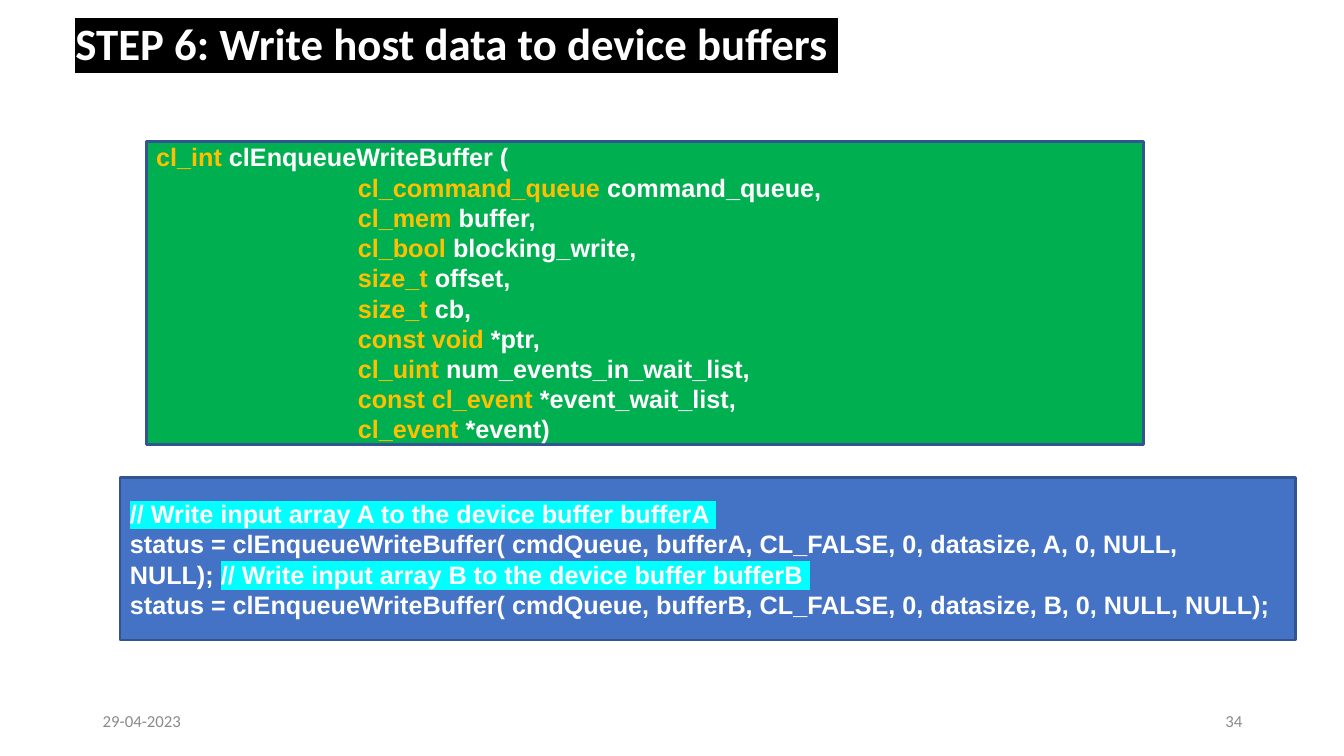
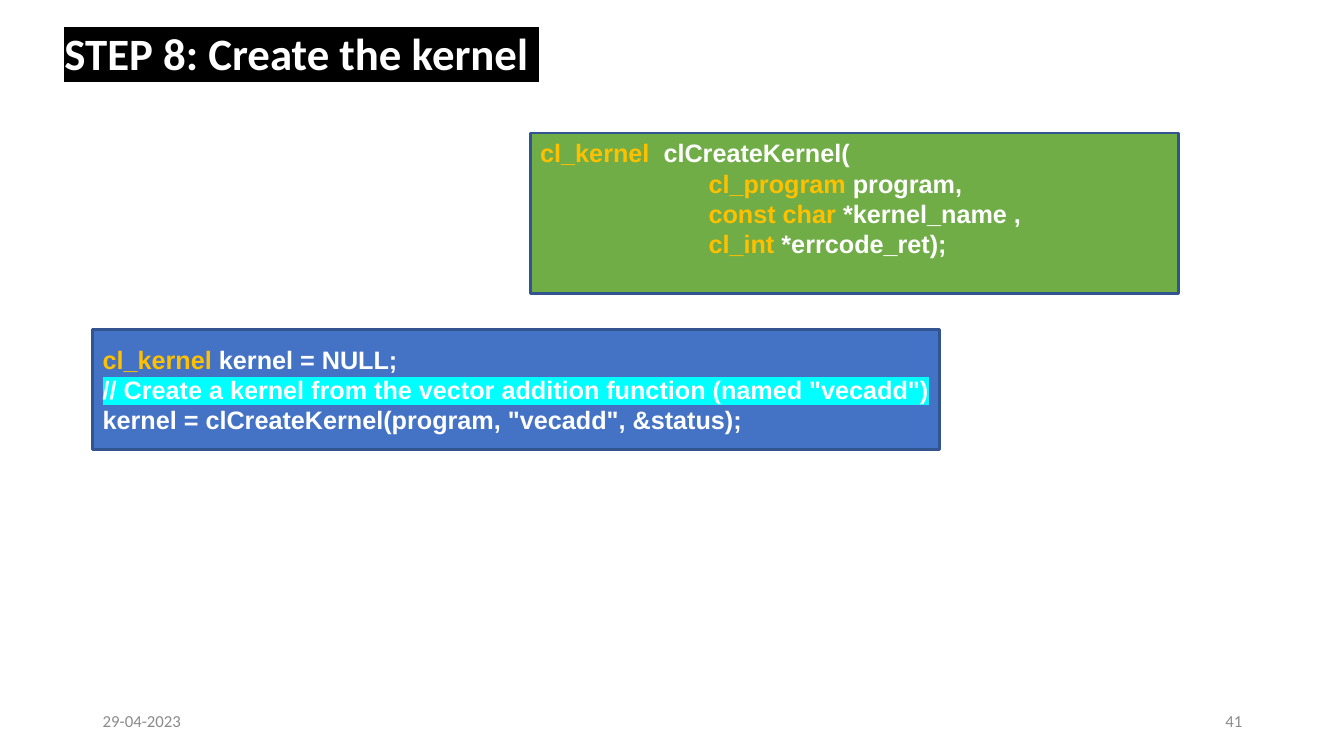
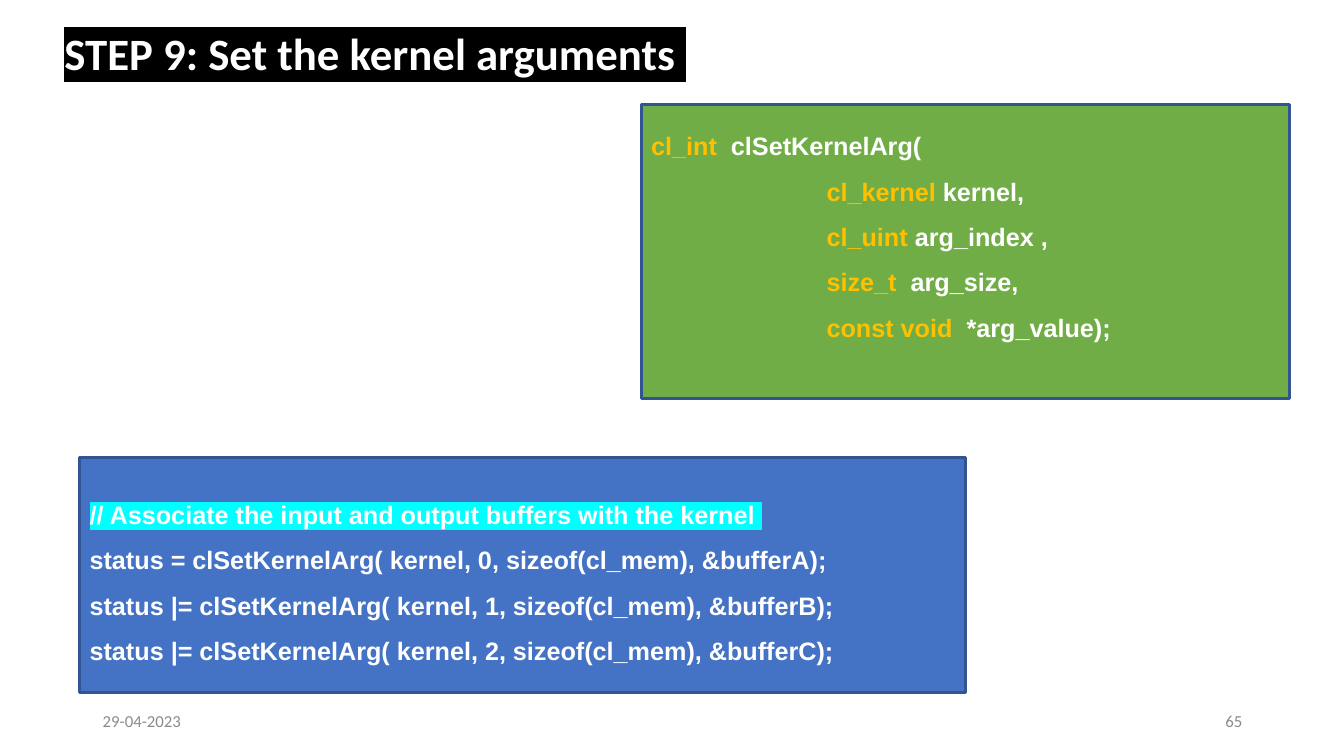
from lxml import etree
from pptx import Presentation
from pptx.dml.color import RGBColor
from pptx.enum.shapes import MSO_SHAPE
from pptx.enum.text import MSO_ANCHOR, PP_ALIGN
from pptx.oxml.ns import qn
from pptx.util import Inches, Pt

RECTANGLE = MSO_SHAPE.RECTANGLE
MIDDLE = MSO_ANCHOR.MIDDLE
LEFT, RIGHT = PP_ALIGN.LEFT, PP_ALIGN.RIGHT

COLORS = {
    "white": "FFFFFF",
    "black": "000000",
    "footer": "8B8B8B",
    "type": "FFC000",
    "comment": "00FFFF",
    "call": "4472C4",
    "border": "325491",
    "bright_green": "00B050",
    "soft_green": "70AD47",
}
STYLES = {
    "code": ("white", None),
    "type": ("type", None),
    "comment": ("white", "comment"),
}
DATE = "29-04-2023"


def rgb(name):
    return RGBColor.from_string(COLORS[name])


def add_run(paragraph, text, font_name, size, color, bold=False, highlight=None):
    run = paragraph.add_run()
    run.text = text
    font = run.font
    font.size = Pt(size)
    font.bold = bold
    font.color.rgb = rgb(color)
    if highlight:
        properties = run._r.get_or_add_rPr()
        marker = etree.Element(qn("a:highlight"))
        etree.SubElement(marker, qn("a:srgbClr")).set("val", COLORS[highlight])
        properties.find(qn("a:solidFill")).addnext(marker)
    font.name = font_name
    return run


def add_text_box(slide, box, alignment=LEFT):
    shape = slide.shapes.add_textbox(*map(Inches, box))
    frame = shape.text_frame
    frame.word_wrap = True
    frame.vertical_anchor = MIDDLE
    paragraph = frame.paragraphs[0]
    paragraph.alignment = alignment
    return paragraph


def add_footer(slide, number):
    for left, text, alignment in ((0.92, DATE, LEFT), (9.42, str(number), RIGHT)):
        paragraph = add_text_box(slide, (left, 6.95, 3, 0.4), alignment)
        add_run(paragraph, text, "Calibri", 12, "footer")


def add_title(slide, text, left, top):
    paragraph = add_text_box(slide, (left, top, 11.5, 0.82))
    paragraph.line_spacing = 0.9
    add_run(paragraph, text, "Calibri", 32, "white", True, "black")
    band_end = add_run(paragraph, " ", "Calibri", 32, "white", True, "black")
    band_end._r.get_or_add_rPr().set("spc", "1550")


def add_code_block(slide, box, fill, lines, spacing=1.0, indent=0, bottom=0.05):
    shape = slide.shapes.add_shape(RECTANGLE, *map(Inches, box))
    shape.shadow.inherit = False
    shape.fill.solid()
    shape.fill.fore_color.rgb = rgb(fill)
    shape.line.color.rgb = rgb("border")
    shape.line.width = Pt(2)
    frame = shape.text_frame
    frame.word_wrap = True
    frame.vertical_anchor = MIDDLE
    frame.margin_bottom = Inches(bottom)
    for index, line in enumerate(lines):
        paragraph = frame.add_paragraph() if index else frame.paragraphs[0]
        paragraph.alignment = LEFT
        paragraph.line_spacing = spacing
        if index and indent:
            paragraph._p.get_or_add_pPr().set("marL", str(Inches(indent)))
        for style, text in line:
            color, highlight = STYLES[style]
            add_run(paragraph, text, "Arial", 18, color, True, highlight)


def add_signature(slide, box, fill, declarations, indent, **layout):
    lines = [(("type", kind), ("code", name)) for kind, name in declarations]
    add_code_block(slide, box, fill, lines, indent=indent, **layout)


def add_step(presentation, number, title, left=0.54, top=0.14):
    slide = presentation.slides.add_slide(presentation.slide_layouts[6])
    add_footer(slide, number)
    add_title(slide, title, left, top)
    return slide


def build_write_buffers(presentation):
    slide = add_step(presentation, 34, "STEP 6: Write host data to device buffers", 0.65, 0.05)
    calls = {
        name: f"status = clEnqueueWriteBuffer( cmdQueue, buffer{name}, "
              f"CL_FALSE, 0, datasize, {name}, 0, NULL, NULL);"
        for name in "AB"
    }
    add_code_block(slide, (1.19, 4.74, 11.66, 1.61), "call", [
        [("comment", "// Write input array A to the device buffer bufferA ")],
        [("code", calls["A"] + " "),
         ("comment", "// Write input array B to the device buffer bufferB ")],
        [("code", calls["B"])],
    ])
    add_signature(slide, (1.45, 1.4, 9.89, 3.01), "bright_green", [
        ("cl_int ", "clEnqueueWriteBuffer ("),
        ("cl_command_queue ", "command_queue,"),
        ("cl_mem ", "buffer,"),
        ("cl_bool ", "blocking_write,"),
        ("size_t", " offset,"),
        ("size_t ", "cb,"),
        ("const void", " *ptr,"),
        ("cl_uint ", "num_events_in_wait_list,"),
        ("const cl_event ", "*event_wait_list,"),
        ("cl_event ", "*event)"),
    ], indent=2)


def build_create_kernel(presentation):
    slide = add_step(presentation, 41, "STEP 8: Create the kernel")
    add_code_block(slide, (0.92, 3.27, 8.4, 1.19), "call", [
        [("type", "cl_kernel "), ("code", "kernel = NULL;")],
        [("comment", '// Create a kernel from the vector addition function (named "vecadd") '),
         ("code", 'kernel = clCreateKernel(program, "vecadd", &status);')],
    ])
    add_signature(slide, (5.26, 1.32, 6.43, 1.59), "soft_green", [
        ("cl_kernel  ", "clCreateKernel("),
        ("cl_program ", "program,"),
        ("const char ", "*kernel_name ,"),
        ("cl_int ", "*errcode_ret);"),
    ], indent=1.67, bottom=0.35)


def build_kernel_arguments(presentation):
    slide = add_step(presentation, 65, "STEP 9: Set the kernel arguments")
    calls = [
        [("code", f"status {operator} clSetKernelArg( kernel, {index}, "
                  f"sizeof(cl_mem), &buffer{name});")]
        for index, (operator, name) in enumerate((("=", "A"), ("|=", "B"), ("|=", "C")))
    ]
    comment = [("comment", "// Associate the input and output buffers with the kernel ")]
    add_code_block(slide, (0.79, 4.54, 8.79, 2.33), "call", [comment, *calls], spacing=1.5)
    add_signature(slide, (6.36, 1.04, 6.43, 2.91), "soft_green", [
        ("cl_int  ", "clSetKernelArg("),
        ("cl_kernel ", "kernel,"),
        ("cl_uint ", "arg_index ,"),
        ("size_t  ", "arg_size,"),
        ("const void", "  *arg_value);"),
    ], indent=1.74, spacing=1.5, bottom=0.5)


def main():
    presentation = Presentation()
    presentation.slide_width = Inches(13.33)
    presentation.slide_height = Inches(7.5)
    build_write_buffers(presentation)
    build_create_kernel(presentation)
    build_kernel_arguments(presentation)
    presentation.save("out.pptx")


if __name__ == "__main__":
    main()
